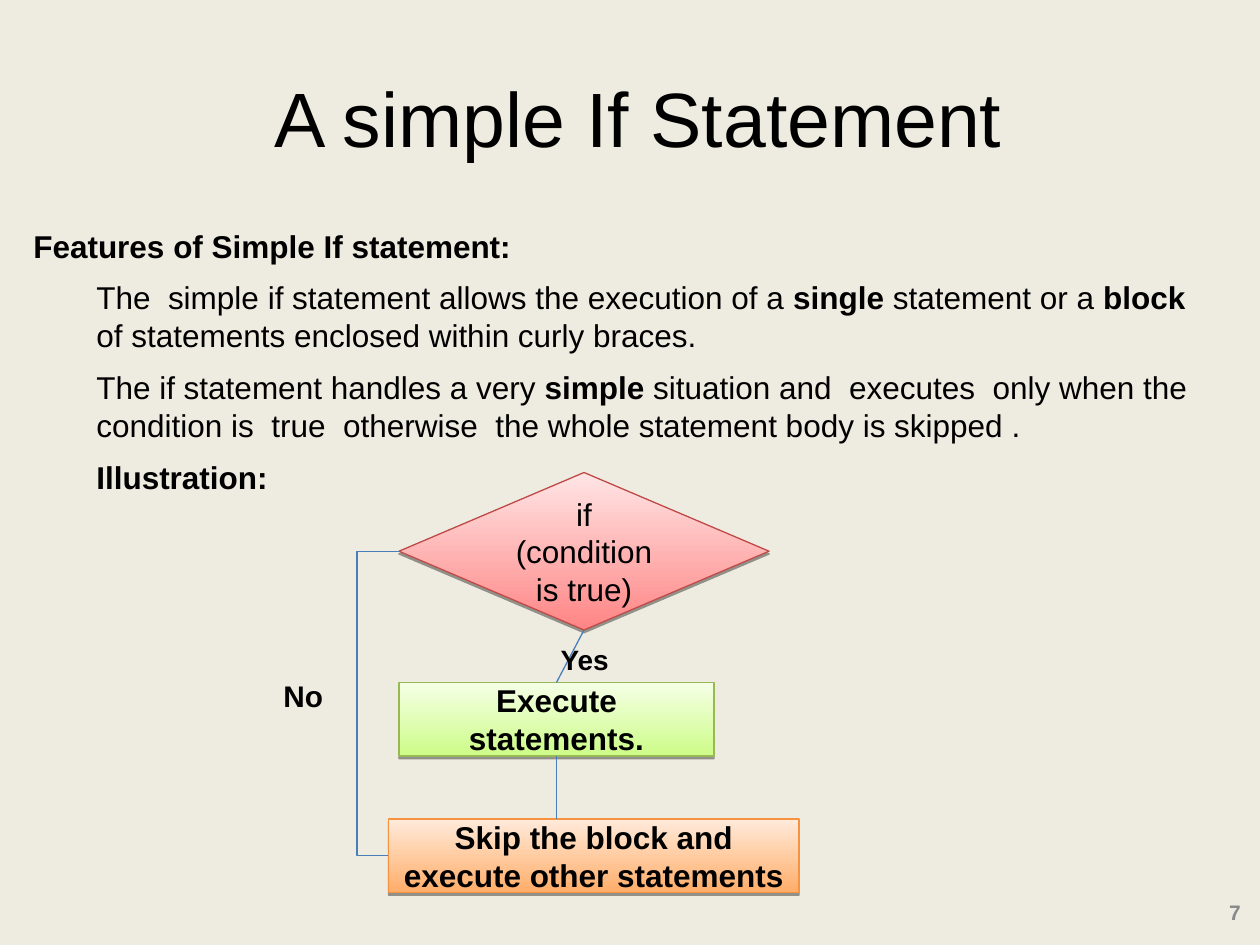
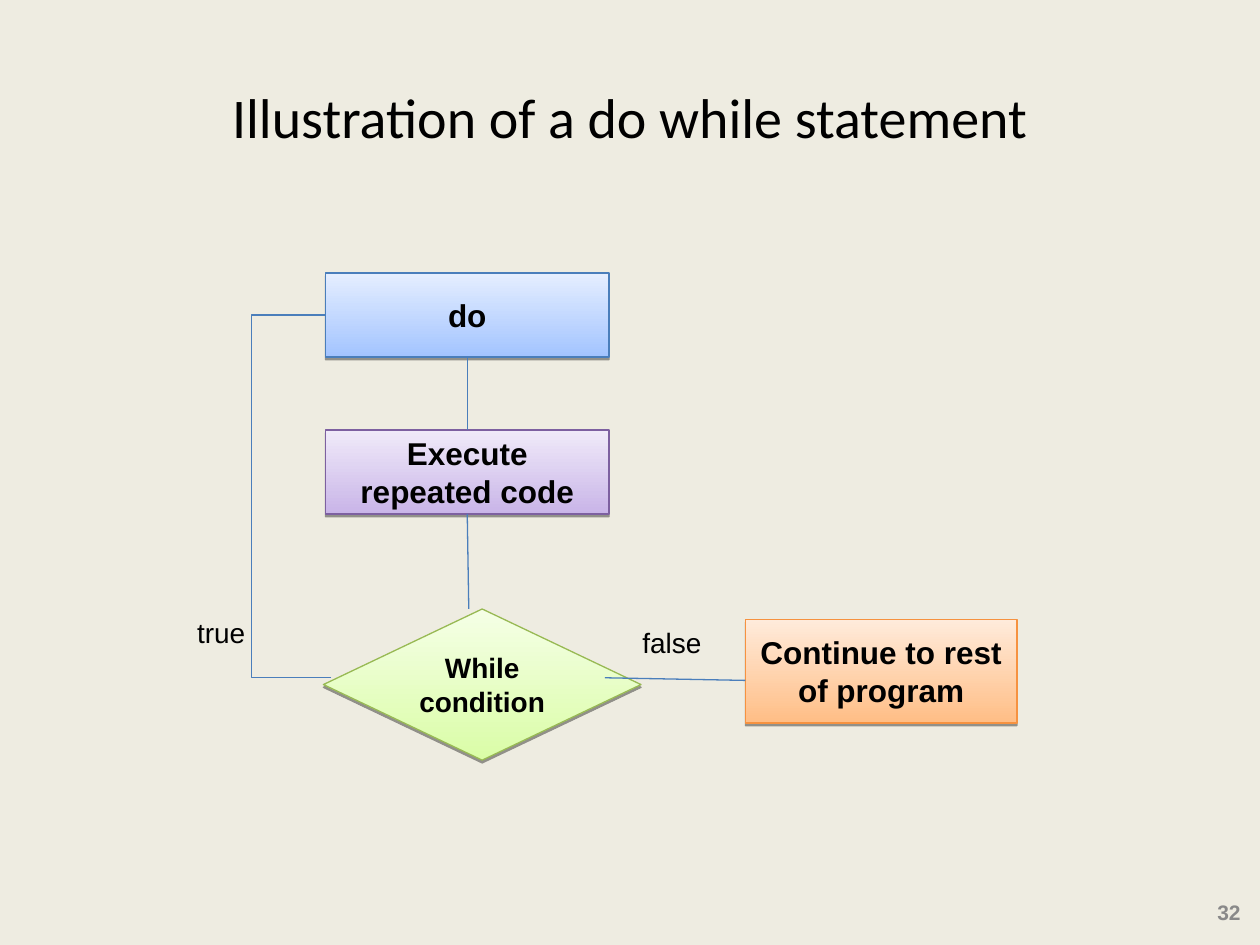
"""Build two flowchart slides: a simple if statement and a do while statement."""
from lxml import etree
from pptx import Presentation
from pptx import util as u
from pptx.dml.color import RGBColor
from pptx.enum import shapes, text
from pptx.oxml.ns import qn

WIDTH, HEIGHT = u.Inches(10), u.Inches(7.5)
COLUMNS = 120
CELL = WIDTH / COLUMNS
TOP, LEFT, BOTTOM, RIGHT = range(4)

COLOURS = {
    "paper": "EEECE1", "ink": "000000", "number": "898989", "wire": "4A7EBB",
    "red": ("FF8585", "FFE5E5", "BE4B48"),
    "green": ("CDFC88", "F5FFE6", "98B954"),
    "pale green": ("DAFDA7", "F5FFE6", "98B954"),
    "orange": ("FFAD69", "FFEBDB", "F69240"),
    "pale orange": ("FFBE86", "FFEBDB", "F69240"),
    "blue": ("A3C4FF", "E5EEFF", "4A7EBB"),
    "purple": ("C9B5E8", "F0EAF9", "7D60A0"),
}
KINDS = {"step": shapes.MSO_SHAPE.FLOWCHART_PROCESS,
         "decision": shapes.MSO_SHAPE.FLOWCHART_DECISION}
TITLE_AREA = (6, 3.6, 108, 15)
NUMBER_AREA = (113.5, 84.75, 5.85, 4.2)
FEATURES_AREA = (2, 21, 114, 28)
LABEL_HEIGHT = 4.4

FEATURES = [
    (0, [("Features of Simple If statement:", True)]),
    (1, [("The  simple if statement allows the execution of a ", False),
         ("single", True), (" statement or a ", False), ("block", True),
         (" of statements enclosed within curly braces.", False)]),
    (1, [("The if statement handles a very ", False), ("simple", True),
         (" situation and  executes  only when the condition is  true  otherwise"
          "  the whole statement body is skipped .", False)]),
    (1, [("Illustration:", True)]),
]

SLIDES = [
    {
        "title": (" A simple If Statement", 44, "Arial"),
        "number": "7",
        "features": FEATURES,
        "nodes": {
            "if": ("decision", (38, 45, 35.25, 15), "red", "if (condition is true)", 18, False),
            "execute": ("step", (38, 65, 30, 7), "green", "Execute statements.", 18, True),
            "skip": ("step", (37, 78, 39.1, 7), "orange",
                     "Skip the block and execute other statements", 18, True),
        },
        "wires": [(("if", BOTTOM), ("execute", TOP)), (("execute", BOTTOM), (53, 78))],
        "loop": ((38, 52.5), (37, 81.5), 34),
        "labels": [("Yes", (52.2, 60.6), 7.1, 16, True), ("No", (25.8, 64), 7, 17, True)],
    },
    {
        "title": ("Illustration of a do while statement", 32, "Calibri"),
        "number": "32",
        "features": [],
        "nodes": {
            "do": ("step", (31, 26, 27, 8), "blue", "do", 18, True),
            "while": ("decision", (30.8, 58, 30.25, 14.4), "pale green",
                      "While condition", 16, True),
            "repeat": ("step", (31, 40.95, 27, 8), "purple", "Execute repeated code", 18, True),
            "continue": ("step", (71, 59, 25.85, 9.85), "pale orange",
                         "Continue to rest of program", 18, True),
        },
        "wires": [(("do", BOTTOM), ("repeat", TOP)), (("repeat", BOTTOM), (44.65, 58)),
                  ((57.6, 64.55), (71, 64.8))],
        "loop": ((31.55, 64.5), (31, 30), 23.9),
        "labels": [("false", (60, 59), 8.1, 16, False), ("true", (17.6, 58), 7, 16, False)],
    },
]


def grid(*cells):
    return [round(cell * CELL) for cell in cells]


def rgb(colour):
    return RGBColor.from_string(colour)


def assign(target, **values):
    for name, value in values.items():
        setattr(target, name, value)


def write(frame, paragraphs, size, font="Arial", colour="ink", align="LEFT",
          anchor="TOP", wrap=True, fit="NONE"):
    assign(frame, word_wrap=wrap, auto_size=text.MSO_AUTO_SIZE[fit],
           vertical_anchor=text.MSO_ANCHOR[anchor])
    for index, (level, runs) in enumerate(paragraphs):
        paragraph = frame.add_paragraph() if index else frame.paragraphs[0]
        assign(paragraph, alignment=text.PP_ALIGN[align], level=level)
        if level:
            properties = paragraph._p.get_or_add_pPr()
            properties.set("marL", str(u.Inches(0.5)))
            properties.set("indent", "0")
        if index:
            paragraph.space_before = u.Pt(8)
        for words, bold in runs:
            run = paragraph.add_run()
            run.text = words
            assign(run.font, size=u.Pt(size), name=font, bold=bold)
            run.font.color.rgb = rgb(COLOURS[colour])


def add_text(slide, area, paragraphs, size, **style):
    frame = slide.shapes.add_textbox(*grid(*area)).text_frame
    write(frame, paragraphs, size, **style)


def add_node(slide, kind, area, palette, words, size, bold):
    node = slide.shapes.add_shape(KINDS[kind], *grid(*area))
    low, high, edge = COLOURS[palette]
    node.fill.gradient()
    node.fill.gradient_angle = 90
    for stop, colour in zip(node.fill.gradient_stops, (low, high)):
        stop.color.rgb = rgb(colour)
    node.line.color.rgb = rgb(edge)
    node.line.width = u.Pt(0.75)
    node.shadow.inherit = False
    effects = node._element.spPr.find(qn("a:effectLst"))
    shadow = etree.SubElement(effects, qn("a:outerShdw"), blurRad="0",
                              dist=str(u.Pt(1.6)), dir="5400000", rotWithShape="0")
    black = etree.SubElement(shadow, qn("a:srgbClr"), val=COLOURS["ink"])
    etree.SubElement(black, qn("a:alpha"), val="38000")
    write(node.text_frame, [(0, [(words, bold)])], size, align="CENTER", anchor="MIDDLE")
    return node


def add_wire(slide, start, end, nodes, kind="STRAIGHT"):
    points = [(0, 0) if point[0] in nodes else point for point in (start, end)]
    wire = slide.shapes.add_connector(shapes.MSO_CONNECTOR[kind], *grid(*points[0], *points[1]))
    for point, join in ((start, wire.begin_connect), (end, wire.end_connect)):
        if point[0] in nodes:
            join(nodes[point[0]], point[1])
    wire.line.color.rgb = rgb(COLOURS["wire"])
    wire.line.width = u.Pt(0.75)
    etree.SubElement(wire._element.spPr, qn("a:effectLst"))
    return wire


def add_loop(slide, start, end, via):
    wire = add_wire(slide, start, end, {}, "ELBOW")
    bend = round((start[0] - via) / (start[0] - end[0]) * 100000)
    guides = wire._element.spPr.find(qn("a:prstGeom")).get_or_add_avLst()
    etree.SubElement(guides, qn("a:gd"), name="adj1", fmla=f"val {bend}")


def build_slide(deck, content):
    slide = deck.slides.add_slide(deck.slide_layouts[6])
    slide.background.fill.solid()
    slide.background.fill.fore_color.rgb = rgb(COLOURS["paper"])
    title, size, font = content["title"]
    add_text(slide, TITLE_AREA, [(0, [(title, False)])], size, font=font,
             align="CENTER", anchor="MIDDLE")
    add_text(slide, NUMBER_AREA, [(0, [(content["number"], True)])], 12,
             colour="number", align="RIGHT", anchor="MIDDLE")
    if content["features"]:
        add_text(slide, FEATURES_AREA, content["features"], 18)
    nodes = {name: add_node(slide, *node) for name, node in content["nodes"].items()}
    for start, end in content["wires"]:
        add_wire(slide, start, end, nodes)
    add_loop(slide, *content["loop"])
    for words, corner, width, size, bold in content["labels"]:
        add_text(slide, (*corner, width, LABEL_HEIGHT), [(0, [(words, bold)])], size,
                 wrap=False, fit="SHAPE_TO_FIT_TEXT")


def main():
    deck = Presentation()
    assign(deck, slide_width=WIDTH, slide_height=HEIGHT)
    for content in SLIDES:
        build_slide(deck, content)
    deck.save("out.pptx")


if __name__ == "__main__":
    main()
